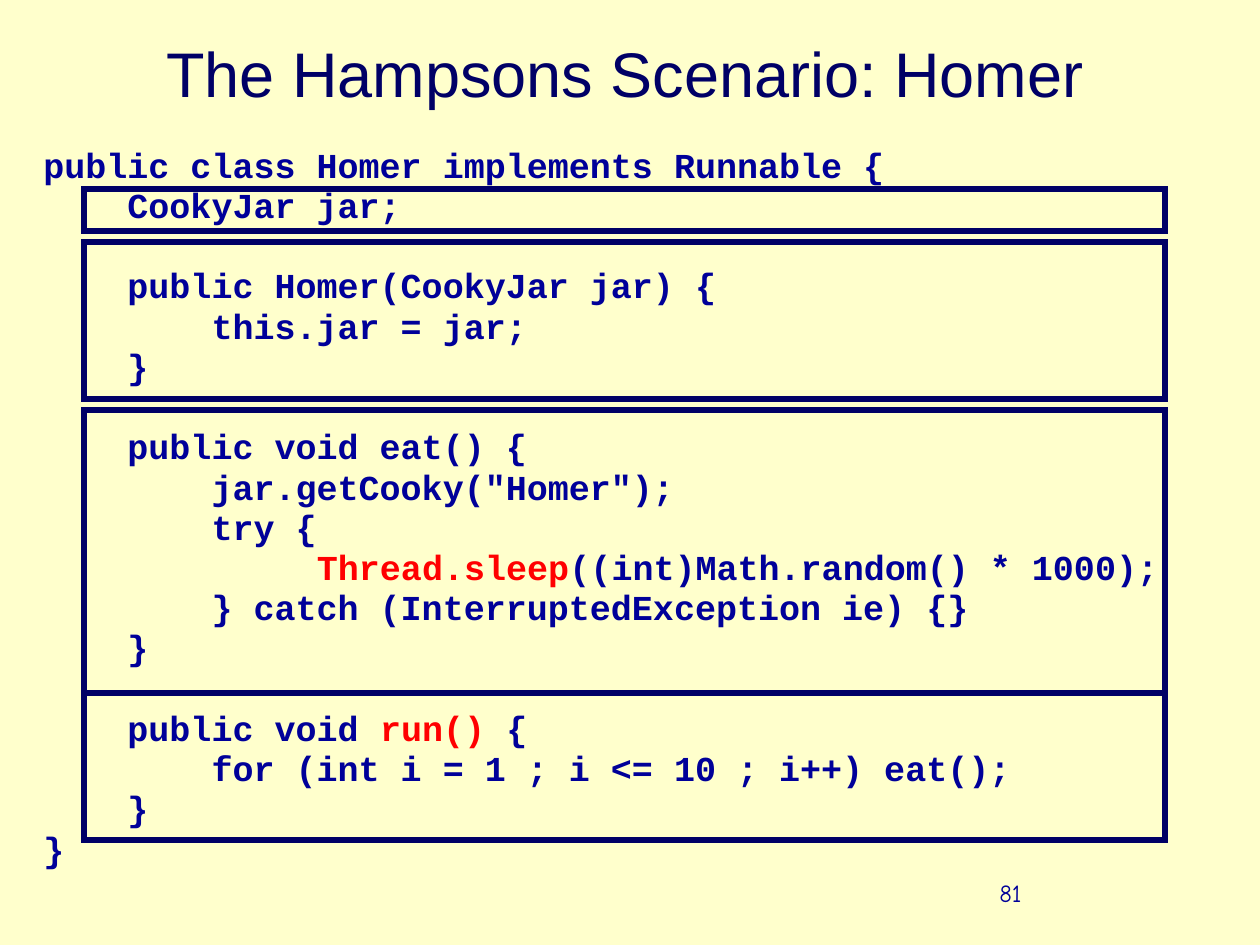
import lxml.etree
import pptx
import pptx.util
import pptx.dml.color
import pptx.enum.shapes
import pptx.enum.text
import pptx.oxml.ns

COLORS = {"page": "FFFFCC", "navy": "000066", "code": "000099", "accent": "FF0000"}
TITLE = "The Hampsons Scenario: Homer"
PAGE_NUMBER = "81"

# Each block is set apart by one line of space; "accent" spans are in tuples.
CODE_BLOCKS = [
    [
        ["public class Homer implements Runnable {"],
        ["    CookyJar jar;"],
    ],
    [
        ["    public Homer(CookyJar jar) {"],
        ["        this.jar = jar;"],
        ["    }"],
    ],
    [
        ["    public void eat() {"],
        ['        jar.getCooky("Homer");'],
        ["        try {"],
        ["             ", ("Thread.sleep", "accent"), "((int)Math.random() * 1000);"],
        ["        } catch (InterruptedException ie) {}"],
        ["    }"],
    ],
    [
        ["    public void ", ("run()", "accent"), " {"],
        ["        for (int i = 1 ; i <= 10 ; i++) eat();"],
        ["    }"],
        ["}"],
    ],
]
LINE_PITCH = pptx.util.Pt(23)

FRAME_LEFT, FRAME_WIDTH = 84, 1081
FRAME_SPANS = [(189, 42), (242, 157), (410, 283), (693, 147)]  # top, height

PX = pptx.util.Inches(1) / 126


def px(length):
    return pptx.util.Emu(round(length * PX))


def color(name):
    return pptx.dml.color.RGBColor.from_string(COLORS[name])


def set_font(font, name, size, color_name, bold=False):
    font.name, font.size, font.bold = name, pptx.util.Pt(size), bold
    font.color.rgb = color(color_name)


def add_text_box(page, left, top, width, height):
    box = page.shapes.add_textbox(px(left), px(top), px(width), px(height))
    box.text_frame.word_wrap = True
    return box.text_frame


def add_title(page):
    title = page.shapes.title
    title.left, title.top, title.width, title.height = map(px, (126, 20, 998, 116))
    frame = title.text_frame
    frame.text = TITLE
    frame.vertical_anchor = pptx.enum.text.MSO_ANCHOR.MIDDLE
    para = frame.paragraphs[0]
    para.alignment = pptx.enum.text.PP_ALIGN.CENTER
    para.line_spacing = 0.85
    set_font(para.font, "Arial", 36, "navy")


def add_code(page):
    frame = add_text_box(page, 31, 145, 1197, 567)
    frame.margin_top = 0
    para = frame.paragraphs[0]
    for block_index, block in enumerate(CODE_BLOCKS):
        for line_index, line in enumerate(block):
            if block_index or line_index:
                para = frame.add_paragraph()
            para.line_spacing = LINE_PITCH
            para.space_before = LINE_PITCH if block_index and not line_index else 0
            set_font(para.font, "Courier New", 20, "code", bold=True)
            for part in line:
                text, color_name = part if isinstance(part, tuple) else (part, None)
                span = para.add_run()
                span.text = text
                if color_name:
                    span.font.color.rgb = color(color_name)


def add_frames(page):
    for top, height in FRAME_SPANS:
        frame = page.shapes.add_shape(
            pptx.enum.shapes.MSO_SHAPE.RECTANGLE,
            px(FRAME_LEFT), px(top), px(FRAME_WIDTH), px(height))
        frame.shadow.inherit = False
        frame.fill.background()
        frame.line.color.rgb = color("navy")
        frame.line.width = pptx.util.Pt(3)
        outline = frame.element.spPr.find(pptx.oxml.ns.qn("a:ln"))
        lxml.etree.SubElement(outline, pptx.oxml.ns.qn("a:miter"), lim="800000")


def add_page_number(page):
    para = add_text_box(page, 987, 872, 262, 63).paragraphs[0]
    para.text = PAGE_NUMBER
    set_font(para.font, "Comic Neue", 14, "code")


def main():
    deck = pptx.Presentation()
    deck.slide_width, deck.slide_height = px(1260), px(945)
    page = deck.slides.add_slide(deck.slide_layouts.get_by_name("Title Only"))
    page.background.fill.solid()
    page.background.fill.fore_color.rgb = color("page")
    add_code(page)
    add_title(page)
    add_frames(page)
    add_page_number(page)
    deck.save("out.pptx")


if __name__ == "__main__":
    main()
